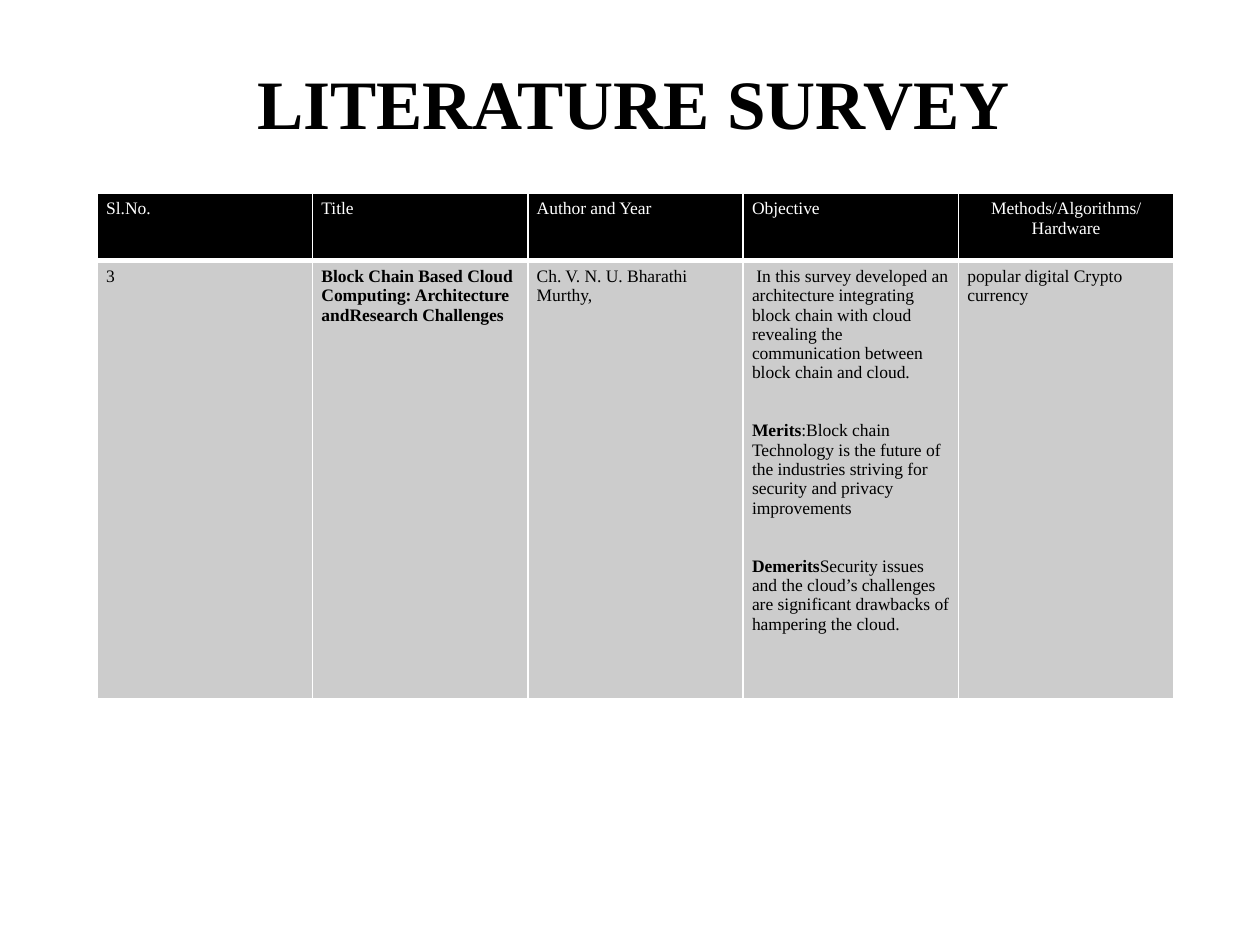
from dataclasses import dataclass

from lxml import etree
from pptx import Presentation
from pptx.dml import color
from pptx.enum import text
from pptx.oxml import ns
from pptx.util import Cm, Pt


@dataclass(frozen=True)
class Theme:
    font: str = "Times New Roman"
    dark: str = "000000"
    light: str = "FFFFFF"
    band: str = "CCCCCC"
    head: float = 39.6
    body: float = 10
    gap: float = 22.14


def assign(item, values):
    for name, value in values.items():
        setattr(item, name, value)


class Deck:
    def __init__(self, theme):
        self.theme = theme
        self.show = Presentation()
        assign(self.show, {"slide_width": Cm(25.4), "slide_height": Cm(19.05)})
        self.slide = self.show.slides.add_slide(self.show.slide_layouts[5])

    def phrase(self, para, runs, size, tone, align):
        para.alignment = align
        for words, bold in runs:
            run = para.add_run()
            run.text = words
            assign(run.font, {"name": self.theme.font, "size": Pt(size), "bold": bold})
            run.font.color.rgb = color.RGBColor.from_string(tone)

    def title(self, words, box):
        shape = self.slide.shapes.title
        assign(shape, dict(zip(("left", "top", "width", "height"), map(Cm, box))))
        frame = shape.text_frame
        assign(frame, {
            "word_wrap": True,
            "auto_size": text.MSO_AUTO_SIZE.NONE,
            "vertical_anchor": text.MSO_ANCHOR.MIDDLE,
        })
        self.phrase(frame.paragraphs[0], [(words, True)], self.theme.head,
                    self.theme.dark, text.PP_ALIGN.CENTER)

    def border(self, cell, base):
        props = cell._tc.get_or_add_tcPr()
        for side, width in {"L": 1, "R": 1, "T": 1, "B": base}.items():
            line = etree.SubElement(props, ns.qn(f"a:ln{side}"), w=str(Pt(width)))
            fill = etree.SubElement(line, ns.qn("a:solidFill"))
            etree.SubElement(fill, ns.qn("a:srgbClr"), val=self.theme.light)

    def cell(self, cell, paras, fill, tone, base, align):
        self.border(cell, base)
        cell.fill.solid()
        cell.fill.fore_color.rgb = color.RGBColor.from_string(fill)
        assign(cell, {
            "margin_left": Cm(0.18), "margin_right": Cm(0.18),
            "margin_top": Cm(0.13), "margin_bottom": Cm(0.13),
            "vertical_anchor": text.MSO_ANCHOR.TOP,
        })
        frame = cell.text_frame
        for index, runs in enumerate(paras):
            para = frame.add_paragraph() if index else frame.paragraphs[0]
            if index:
                para.space_before = Pt(self.theme.gap)
            self.phrase(para, runs, self.theme.body, tone, align)

    def table(self, heads, body, left, top, width, heights):
        count = len(heads)
        grid = self.slide.shapes.add_table(
            2, count, Cm(left), Cm(top), Cm(width * count), Cm(sum(heights))).table
        assign(grid, {"first_row": False, "horz_banding": False})
        for col in grid.columns:
            col.width = Cm(width)
        for row, height in zip(grid.rows, heights):
            row.height = Cm(height)
        for index, (head, paras) in enumerate(zip(heads, body)):
            last = index == count - 1
            align = text.PP_ALIGN.CENTER if last else text.PP_ALIGN.LEFT
            self.cell(grid.cell(0, index), [[(head, False)]],
                      self.theme.dark, self.theme.light, 3, align)
            self.cell(grid.cell(1, index), paras,
                      self.theme.band, self.theme.dark, 1, text.PP_ALIGN.LEFT)


HEADS = ["Sl.No.", "Title", "Author and Year", "Objective", "Methods/Algorithms/Hardware"]
BODY = [
    [[("3", False)]],
    [[("Block Chain Based Cloud Computing: Architecture andResearch Challenges", True)]],
    [[("Ch. V. N. U. Bharathi Murthy,", False)]],
    [
        [(" In this survey developed an architecture integrating block chain with cloud "
          "revealing the communication between block chain and cloud.", False)],
        [("Merits", True),
         (":Block chain Technology is the future of the industries striving for "
          "security and privacy improvements", False)],
        [("Demerits", True),
         ("Security issues and the cloud’s challenges are significant drawbacks "
          "of hampering the cloud.", False)],
    ],
    [[("popular digital Crypto currency", False)]],
]


def main():
    deck = Deck(Theme())
    deck.title("LITERATURE SURVEY", (1.75, 1.02, 22.05, 2.06))
    deck.table(HEADS, BODY, 1.96, 3.89, 4.34, (1.36, 8.84))
    deck.show.save("out.pptx")


if __name__ == "__main__":
    main()
